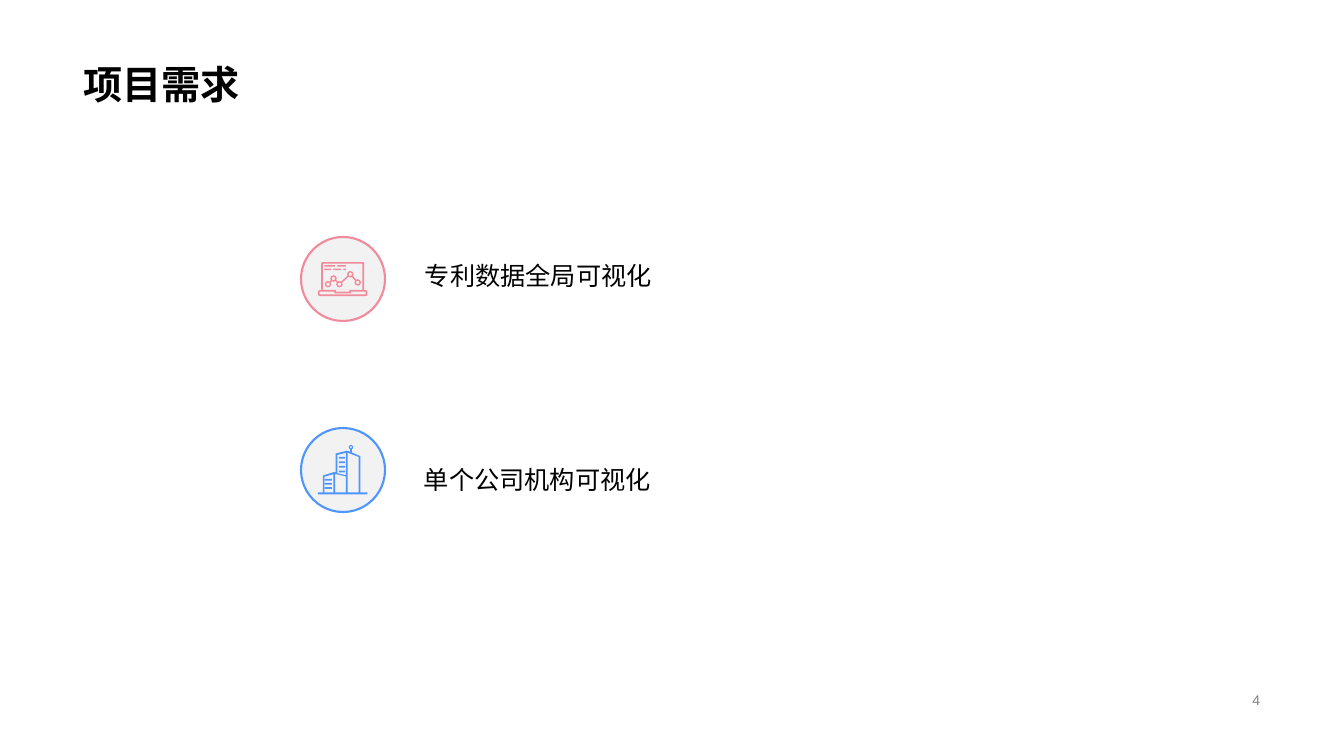
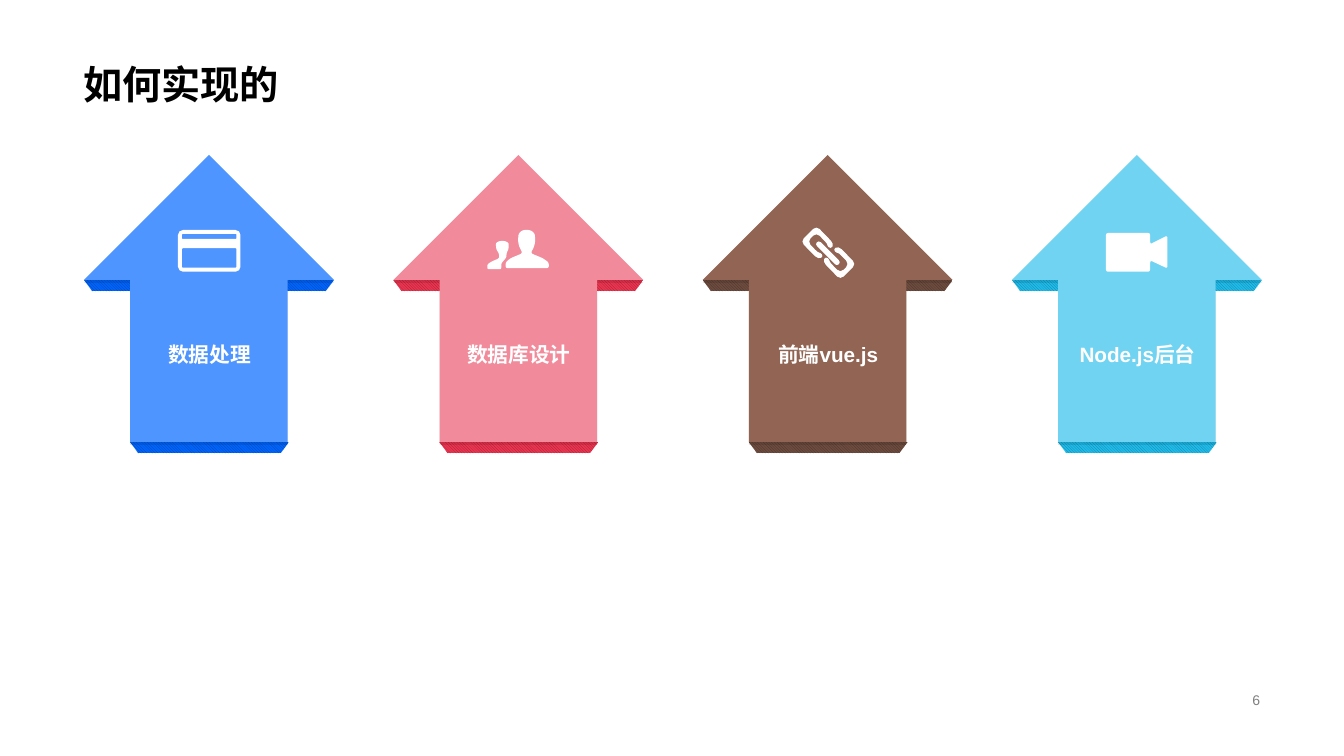
from lxml.etree import SubElement
from pptx import Presentation
from pptx.dml.color import RGBColor
from pptx.enum.dml import MSO_PATTERN
from pptx.enum.shapes import MSO_SHAPE
from pptx.enum.text import MSO_ANCHOR, MSO_AUTO_SIZE, PP_ALIGN
from pptx.oxml.ns import qn
from pptx.util import Pt

EMU_PER_PX = 914400 / 100.8
ICON_UNITS_PER_PX = 4
FONT = "Arial"
BLACK, WHITE, GREY, PALE = "000000", "FFFFFF", "808080", "F2F2F2"
BLUE, PINK, BROWN, CYAN = "4F95FF", "F18B9B", "916453", "70D3F1"
TITLE_BOX = (73, 0, 1197, 113)
NUMBER_BOX = (950, 688, 320, 23)


def px(length):
    """Turn px into EMU."""
    return round(length * EMU_PER_PX)


def box_emu(box):
    """Turn a px box into EMU."""
    return [px(length) for length in box]


def color(value):
    """Turn a hex string into a colour."""
    return RGBColor.from_string(value)


def write(shape, text, size, shade, bold=False, align=PP_ALIGN.LEFT,
          anchor=MSO_ANCHOR.TOP, wrap=True):
    """Put one styled paragraph into a shape and return it."""
    frame = shape.text_frame
    frame.word_wrap = wrap
    frame.auto_size = MSO_AUTO_SIZE.NONE
    frame.vertical_anchor = anchor
    para = frame.paragraphs[0]
    para.text = text
    para.alignment = align
    para.font.name = FONT
    para.font.size = Pt(size)
    para.font.bold = bold
    para.font.color.rgb = color(shade)
    return para


def add_label(page, box, text, size, shade, **style):
    """Add a text box."""
    return write(page.shapes.add_textbox(*box_emu(box)), text, size, shade, **style)


def add_flat(page, kind, box, fill=None):
    """Add a preset shape without line or shadow."""
    shape = page.shapes.add_shape(kind, *box_emu(box))
    shape.shadow.inherit = False
    shape.line.fill.background()
    if fill:
        shape.fill.solid()
        shape.fill.fore_color.rgb = color(fill)
    return shape


def toward(start, end, distance):
    """Return the point at a distance from start toward end, at most half way."""
    dx, dy = end[0] - start[0], end[1] - start[1]
    share = min(distance / (dx * dx + dy * dy) ** 0.5, 0.5)
    return start[0] + dx * share, start[1] + dy * share


def smooth(points, radius, steps=2):
    """Round the corners of a polygon."""
    outline = []
    for index, corner in enumerate(points):
        start = toward(corner, points[index - 1], radius)
        end = toward(corner, points[(index + 1) % len(points)], radius)
        for step in range(steps + 1):
            t = step / steps
            outline.append(tuple(
                a * (1 - t) ** 2 * (1 + 0.35 * t)
                + c * 1.65 * t * (1 - t)
                + b * t ** 2 * (1 + 0.35 * (1 - t))
                for a, c, b in zip(start, corner, end)))
    return outline


def rect(x, y, width, height):
    """Return the corners of a rectangle."""
    return [(x, y), (x + width, y), (x + width, y + height), (x, y + height)]


def rounded(x, y, width, height, radius):
    """Return the outline of a rounded rectangle."""
    return smooth(rect(x, y, width, height), radius)


def disc(x, y, radius):
    """Return the outline of a disc."""
    return rounded(x - radius, y - radius, 2 * radius, 2 * radius, radius)


def bar(start, end, half, trim=0, radius=0):
    """Return the outline of a straight bar, shortened by trim at both ends."""
    (x1, y1), (x2, y2) = toward(start, end, trim), toward(end, start, trim)
    length = ((x2 - x1) ** 2 + (y2 - y1) ** 2) ** 0.5
    nx, ny = (y1 - y2) / length * half, (x2 - x1) / length * half
    corners = [(x1 + nx, y1 + ny), (x2 + nx, y2 + ny),
               (x2 - nx, y2 - ny), (x1 - nx, y1 - ny)]
    return smooth(corners, radius) if radius else corners


def laptop_icon():
    """Return the outlines of a laptop with a line chart."""
    nodes = [(40, 89), (62, 66), (86, 89), (129, 49), (159, 82)]
    dashes = [(16, 26, 68), (16, 78, 112), (30, 26, 52), (30, 62, 92), (30, 102, 112)]
    hollow = [(7, 119), (66, 119), (66, 126), (132, 126), (132, 119),
              (191, 119), (191, 130), (7, 130)]
    return [
        rounded(13, 0, 172, 112, 6), rounded(20, 7, 158, 105, 2),
        rounded(0, 112, 198, 25, 8), hollow, rect(72, 112, 54, 7),
        *[disc(x, y, radius) for x, y in nodes for radius in (13, 7)],
        *[bar(start, end, 3, trim=12) for start, end in zip(nodes, nodes[1:])],
        *[rect(left, y - 3, right - left, 6) for y, left, right in dashes],
    ]


def building_icon():
    """Return the outlines of two office buildings."""
    skyline = [(0, 190), (20, 190), (20, 122), (65, 108), (71, 110), (71, 34),
               (115, 23), (129, 27), (129, 17), (136, 17), (136, 30), (170, 45),
               (170, 190), (198, 190), (198, 198), (0, 198)]
    walls = [
        [(26, 127), (62, 117), (62, 190), (26, 190)],
        [(69, 116), (112, 126), (112, 190), (69, 190)],
        [(78, 40), (112, 31), (112, 121), (78, 113)],
        [(119, 31), (163, 48), (163, 190), (119, 190)],
    ]
    return [
        skyline, *walls, disc(132, 9, 9), disc(132, 9, 4),
        *[rect(28, y, 28, 7) for y in (136, 152, 169)],
        *[rect(84, y, 24, 7) for y in (48, 66, 84, 103)],
    ]


def card_icon():
    """Return the outlines of a bank card."""
    return [rounded(0, 0, 250, 167, 20), rounded(16, 16, 218, 20, 3),
            rounded(16, 73, 218, 78, 4)]


def people_icon():
    """Return the outlines of two people."""
    front = [(222, 113), (174, 93), (188, 65), (192, 44), (190, 14), (172, 0),
             (142, 0), (125, 14), (123, 44), (127, 65), (141, 93), (93, 113),
             (73, 130), (73, 153), (246, 153), (246, 130)]
    back = [(56, 134), (77, 109), (77, 93), (85, 77), (86, 52), (70, 44), (50, 44),
            (34, 52), (36, 77), (47, 95), (48, 113), (16, 127), (0, 138),
            (0, 157), (56, 157)]
    return smooth(back, 6), smooth(front, 8)


def chain_icon():
    """Return the outlines of two chain links and the bar between them."""
    link = [(69, 101), (85, 117), (63, 130), (-8, 58), (55, -5), (126, 68),
            (113, 89), (97, 73), (100, 68), (55, 22), (19, 58), (63, 104)]
    facing = [(206 - x, 206 - y) for x, y in link]
    return (smooth(link, 18), smooth(facing, 18),
            bar((57, 61), (145, 149), 11, radius=11))


def camera_icon():
    """Return the outline of a video camera."""
    return smooth([(177, 0), (177, 45), (246, 10), (246, 142), (177, 110),
                   (177, 155), (0, 155), (0, 0)], 8)


def add_icon(page, left, top, outlines, fill):
    """Draw outlines as one freeform with holes."""
    paths = [[(px(x / ICON_UNITS_PER_PX), px(y / ICON_UNITS_PER_PX)) for x, y in outline]
             for outline in outlines]
    builder = page.shapes.build_freeform(*paths[0][0])
    for index, points in enumerate(paths):
        if index:
            builder.move_to(*points[0])
        builder.add_line_segments(points[1:], close=True)
    shape = builder.convert_to_shape(px(left), px(top))
    shape.shadow.inherit = False
    shape.line.fill.background()
    shape.fill.solid()
    shape.fill.fore_color.rgb = color(fill)


def add_page(deck, title, number):
    """Add a slide with its title and page number."""
    page = deck.slides.add_slide(deck.slide_layouts[5])
    holder = page.shapes.title
    holder.left, holder.top, holder.width, holder.height = box_emu(TITLE_BOX)
    para = write(holder, title, 28, BLACK, bold=True, anchor=MSO_ANCHOR.BOTTOM)
    para.line_spacing = 0.9
    add_label(page, NUMBER_BOX, number, 10, GREY, align=PP_ALIGN.RIGHT,
              anchor=MSO_ANCHOR.MIDDLE)
    return page


def add_need(page, left, top, text, text_at, icon, icon_top, accent):
    """Add a ringed icon with its text."""
    ring = add_flat(page, MSO_SHAPE.OVAL, (left, top, 84, 84), PALE)
    ring.line.color.rgb = color(accent)
    ring.line.width = Pt(1.5)
    add_icon(page, left + 17, top + icon_top, icon, accent)
    add_label(page, (left + text_at[0], top + text_at[1], 249, 40), text, 18, BLACK,
              wrap=False)


def add_edge(page, box, dark, light):
    """Add a hatched lower edge."""
    edge = add_flat(page, MSO_SHAPE.TRAPEZOID, box)
    edge.rotation = 180
    edge.adjustments[0] = 0.75
    edge.fill.patterned()
    edge.fill.pattern = MSO_PATTERN.DARK_DOWNWARD_DIAGONAL
    edge.fill.fore_color.rgb = color(dark)
    edge.fill.back_color.rgb = color(light)


def add_drop_shadow(shape):
    """Give a shape a faint shadow below."""
    effects = shape._element.spPr.find(qn("a:effectLst"))
    shadow = SubElement(effects, qn("a:outerShdw"), blurRad="0", dist=str(Pt(2)),
                        dir="5400000", algn="t", rotWithShape="0")
    shade = SubElement(shadow, qn("a:srgbClr"), val=BLACK)
    SubElement(shade, qn("a:alpha"), val="10000")


def add_step(page, box, text, parts, icon_at, face, dark, light):
    """Add an arrow with edges, icon parts and label."""
    left, top, width, height = box
    stem_left, stem_width = left + 46, width - 91
    add_edge(page, (left, top + 125, width, 11), dark, light)
    add_edge(page, (stem_left, top + height, stem_width, 11), dark, light)
    arrow = add_flat(page, MSO_SHAPE.UP_ARROW, box, face)
    arrow.adjustments[0], arrow.adjustments[1] = 0.63, 0.5
    add_drop_shadow(arrow)
    for outlines in parts:
        add_icon(page, left + icon_at[0], top + icon_at[1], outlines, WHITE)
    add_label(page, (stem_left, top + 182, stem_width, 31), text, 14.8, WHITE,
              bold=True, align=PP_ALIGN.CENTER, wrap=False)


def add_needs_page(deck):
    """Add the slide of project needs."""
    page = add_page(deck, "项目需求", "4")
    add_need(page, 301, 428, "单个公司机构可视化", (113, 31), building_icon(), 17, BLUE)
    add_need(page, 301, 237, "专利数据全局可视化", (114, 18), laptop_icon(), 25, PINK)


def add_steps_page(deck):
    """Add the slide of implementation steps."""
    page = add_page(deck, "如何实现的", "6")
    steps = [
        ("数据处理", [card_icon()], (94, 75), BLUE, "0042A7", "0064FB"),
        ("数据库设计", [[part] for part in people_icon()], (94, 75),
         PINK, "AA142C", "E73652"),
        ("前端vue.js", [[part] for part in chain_icon()], (100, 72),
         BROWN, "483229", "6D4B3E"),
        ("Node.js后台", [[camera_icon()]], (94, 78), CYAN, "107FA1", "20BAE9"),
    ]
    left, right, width = 84, 1262, 250
    pitch = (right - left - width) / (len(steps) - 1)
    for index, step in enumerate(steps):
        add_step(page, (left + index * pitch, 155, width, 287), *step)


def main():
    """Build and save the deck."""
    deck = Presentation()
    deck.slide_width, deck.slide_height = px(1344), px(756)
    add_needs_page(deck)
    add_steps_page(deck)
    deck.save("out.pptx")


if __name__ == "__main__":
    main()
